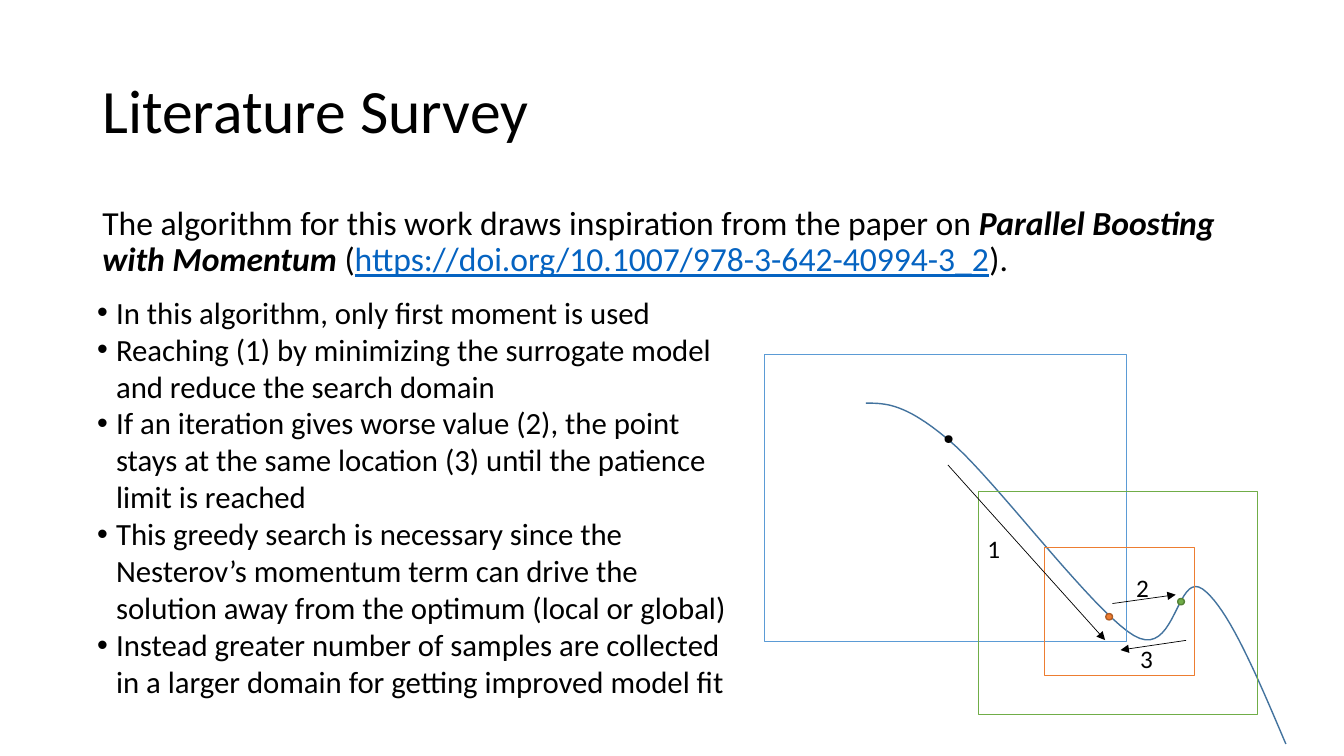
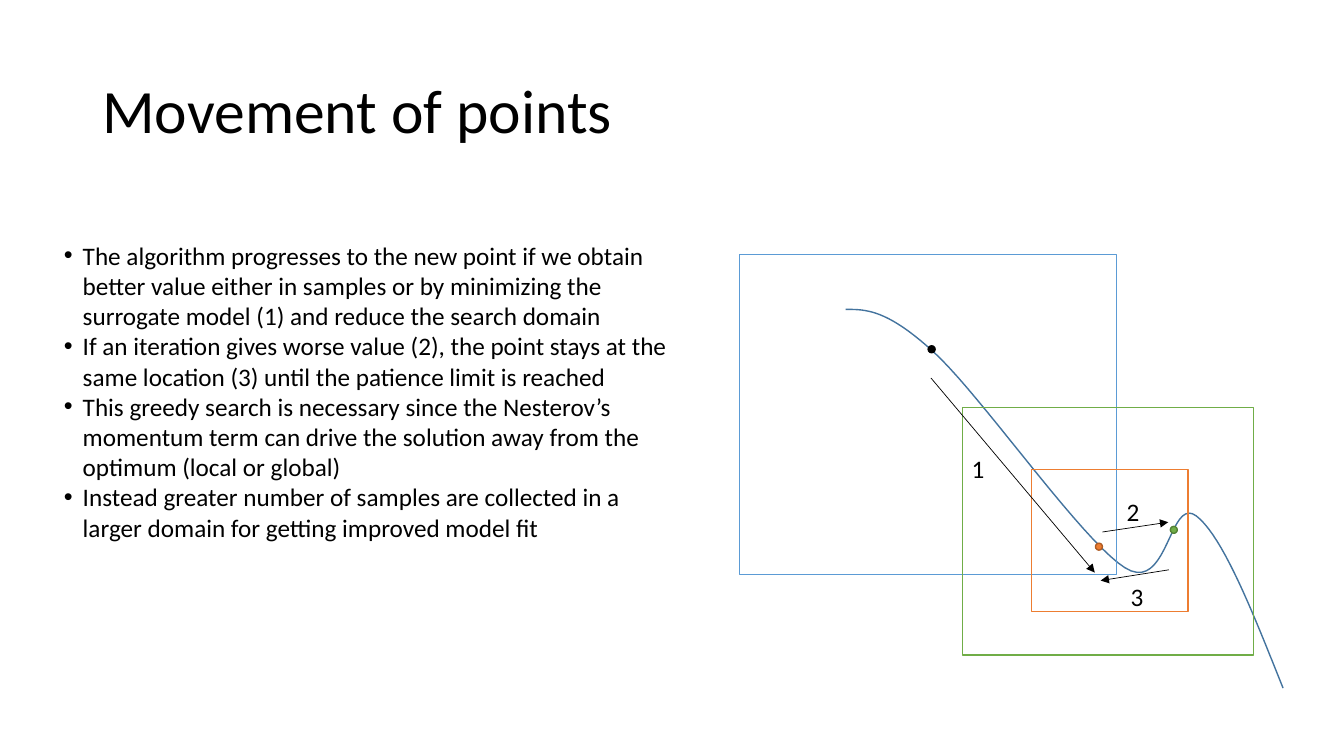
import pptx
import pptx.dml.color
import pptx.enum.shapes
import pptx.enum.text
import pptx.oxml
import pptx.oxml.ns
import pptx.util

Pt = pptx.util.Pt
RGBColor = pptx.dml.color.RGBColor
Preset = pptx.enum.shapes.MSO_SHAPE
Anchor = pptx.enum.text.MSO_ANCHOR

# Shared style
FONT = "Calibri"
BLACK = RGBColor(0x00, 0x00, 0x00)
LINK_BLUE = RGBColor(0x05, 0x63, 0xC1)
CURVE_BLUE = RGBColor(0x43, 0x73, 0x9E)
BLUE = RGBColor(0x5B, 0x9B, 0xD5)
ORANGE = RGBColor(0xED, 0x7D, 0x31)
DARK_ORANGE = RGBColor(0xAF, 0x5C, 0x24)
GREEN = RGBColor(0x70, 0xAD, 0x47)
DARK_GREEN = RGBColor(0x53, 0x81, 0x35)

# Search diagram, in points from the start of the curve
CURVE = [(0, 0), (15, 0), (29.5, 0), (63, 30.5), (96.5, 61), (168.5, 165),
         (199.5, 184.5), (230.5, 204), (231, 133), (250.5, 147.5),
         (269.5, 162), (291, 216.5), (312.5, 270.5)]
CURVE_STEPS = 20
DOT_SIZE = 5
DOTS = [(232, 155, GREEN, DARK_GREEN), (59, 26, BLACK, BLACK),
        (178.5, 167, ORANGE, DARK_ORANGE)]
DOMAINS = [(-75.6, -39, 269.3, 228.2, BLUE), (133, 114.5, 111.6, 101.5, ORANGE),
           (83.5, 69.8, 208.1, 177.1, GREEN)]
ARROWS = [(61, 49, 178, 188), (183.5, 159, 230.5, 152), (231, 186, 182.2, 193.7)]
LABELS = [(83, 99.4), (193.7, 130.3), (196.6, 190.8)]
LABEL_SIZE = (47.5, 39)

# Bullets used on both slides
WORSE_VALUE = ("If an iteration gives worse value (2), the point stays at the same "
               "location (3) until the patience limit is reached")
GREEDY = ("This greedy search is necessary since the Nesterov’s momentum term can "
          "drive the solution away from the optimum (local or global)")
MORE_SAMPLES = ("Instead greater number of samples are collected in a larger domain "
                "for getting improved model fit")


def bezier_points(nodes):
    """Points along a chain of cubic Bezier segments."""
    points = [nodes[0]]
    for start in range(0, len(nodes) - 1, 3):
        segment = nodes[start:start + 4]
        for step in range(1, CURVE_STEPS + 1):
            t = step / CURVE_STEPS
            weights = ((1 - t) ** 3, 3 * t * (1 - t) ** 2, 3 * t * t * (1 - t), t ** 3)
            points.append(tuple(sum(weight * node[axis] for weight, node in zip(weights, segment))
                                for axis in (0, 1)))
    return points


class Deck:
    def __init__(self):
        self.presentation = pptx.Presentation()
        self.presentation.slide_width = Pt(960)
        self.presentation.slide_height = Pt(540)
        self.slide = None

    def add_slide(self, title):
        self.slide = self.presentation.slides.add_slide(self.presentation.slide_layouts[6])
        frame = self.text_frame(66, 28.8, 828, 104.4)
        frame.vertical_anchor = Anchor.MIDDLE
        frame.text = title
        frame.paragraphs[0].line_spacing = 0.9
        self.format_run(frame.paragraphs[0].runs[0], 44)

    def text_frame(self, left, top, width, height):
        shape = self.slide.shapes.add_textbox(Pt(left), Pt(top), Pt(width), Pt(height))
        shape.text_frame.word_wrap = True
        return shape.text_frame

    def format_run(self, run, size, color=BLACK):
        run.font.name = FONT
        run.font.size = Pt(size)
        run.font.color.rgb = color

    def citation(self, before, paper, link):
        paragraph = self.text_frame(66, 144, 828, 342.7).paragraphs[0]
        paragraph.line_spacing = 0.9
        for text in (before, paper, "(", link, ")."):
            run = paragraph.add_run()
            run.text = text
            self.format_run(run, 24, LINK_BLUE if text == link else BLACK)
            run.font.bold = run.font.italic = text == paper
            run.font.underline = text == link

    def bullets(self, left, top, width, height, size, items):
        frame = self.text_frame(left, top, width, height)
        frame.text = "\n".join(items)
        for paragraph in frame.paragraphs:
            properties = paragraph._p.get_or_add_pPr()
            properties.set("marL", str(Pt(22.5)))
            properties.set("indent", str(Pt(-13.5)))
            for tag, name, value in (("a:buFont", "typeface", "Arial"),
                                     ("a:buChar", "char", "•")):
                bullet = pptx.oxml.ns.qn(tag)
                properties.makeelement(bullet)
                element = pptx.oxml.xmlchemy.OxmlElement(tag)
                element.set(name, value)
                properties.append(element)
            self.format_run(paragraph.runs[0], size)

    def outline(self, shape, color, weight, fill=None):
        shape.shadow.inherit = False
        if fill is None:
            shape.fill.background()
        else:
            shape.fill.solid()
            shape.fill.fore_color.rgb = fill
        shape.line.color.rgb = color
        shape.line.width = Pt(weight)

    def preset(self, kind, left, top, width, height, color, weight, fill=None):
        shape = self.slide.shapes.add_shape(kind, Pt(left), Pt(top), Pt(width), Pt(height))
        self.outline(shape, color, weight, fill)

    def curve(self, points):
        points = [(Pt(x), Pt(y)) for x, y in points]
        builder = self.slide.shapes.build_freeform(*points[0])
        builder.add_line_segments(points[1:], close=False)
        self.outline(builder.convert_to_shape(), CURVE_BLUE, 1)

    def arrow(self, start, end):
        connector = self.slide.shapes.add_connector(
            pptx.enum.shapes.MSO_CONNECTOR.STRAIGHT, *map(Pt, start + end))
        connector.line.color.rgb = BLACK
        connector.line.width = Pt(0.5)
        head = pptx.oxml.xmlchemy.OxmlElement("a:tailEnd")
        head.set("type", "triangle")
        connector.line._get_or_add_ln().append(head)
        connector._element.spPr.append(pptx.oxml.xmlchemy.OxmlElement("a:effectLst"))

    def search_diagram(self, left, top, scale_x=1, scale_y=1, back_shift=(0, 0), back_label=0):
        """Draw the search; the last two arguments nudge step 3 and its label."""
        def place(x, y):
            return left + x * scale_x, top + y * scale_y

        def scaled(width, height):
            return width * scale_x, height * scale_y

        self.curve(bezier_points([place(*node) for node in CURVE]))
        for x, y, fill, edge in DOTS:
            self.preset(Preset.OVAL, *place(x, y), *scaled(DOT_SIZE, DOT_SIZE), edge, 1, fill)
        for x, y, width, height, color in DOMAINS:
            self.preset(Preset.RECTANGLE, *place(x, y), *scaled(width, height), color, 0.75)
        for step, (arrow, label) in enumerate(zip(ARROWS, LABELS), 1):
            shift_x, shift_y = back_shift if step == 3 else (0, 0)
            start, end = [(x + shift_x, y + shift_y)
                          for x, y in (place(*arrow[:2]), place(*arrow[2:]))]
            self.arrow(start, end)
            x, y = place(*label)
            frame = self.text_frame(x, y + (back_label if step == 3 else 0), *scaled(*LABEL_SIZE))
            frame.text = str(step)
            self.format_run(frame.paragraphs[0].runs[0], 18)


def main():
    deck = Deck()

    # Literature survey
    deck.add_slide("Literature Survey")
    deck.citation("The algorithm for this work draws inspiration from the paper on ",
                  "Parallel Boosting with Momentum ",
                  "https://doi.org/10.1007/978-3-642-40994-3_2")
    deck.search_diagram(618.5, 288, 0.96, 0.9, back_shift=(7, 2), back_label=-3.5)
    deck.bullets(53.3, 206, 483, 300, 22, [
        "In this algorithm, only first moment is used",
        "Reaching (1) by minimizing the surrogate model and reduce the search domain",
        WORSE_VALUE, GREEDY, MORE_SAMPLES])

    # Movement of points
    deck.add_slide("Movement of points")
    deck.search_diagram(604, 221)
    deck.bullets(29.5, 167.8, 461, 225.4, 18, [
        "The algorithm progresses to the new point if we obtain better value either in "
        "samples or by minimizing the surrogate model (1) and reduce the search domain",
        WORSE_VALUE, GREEDY, MORE_SAMPLES])

    deck.presentation.save("out.pptx")


if __name__ == "__main__":
    main()
